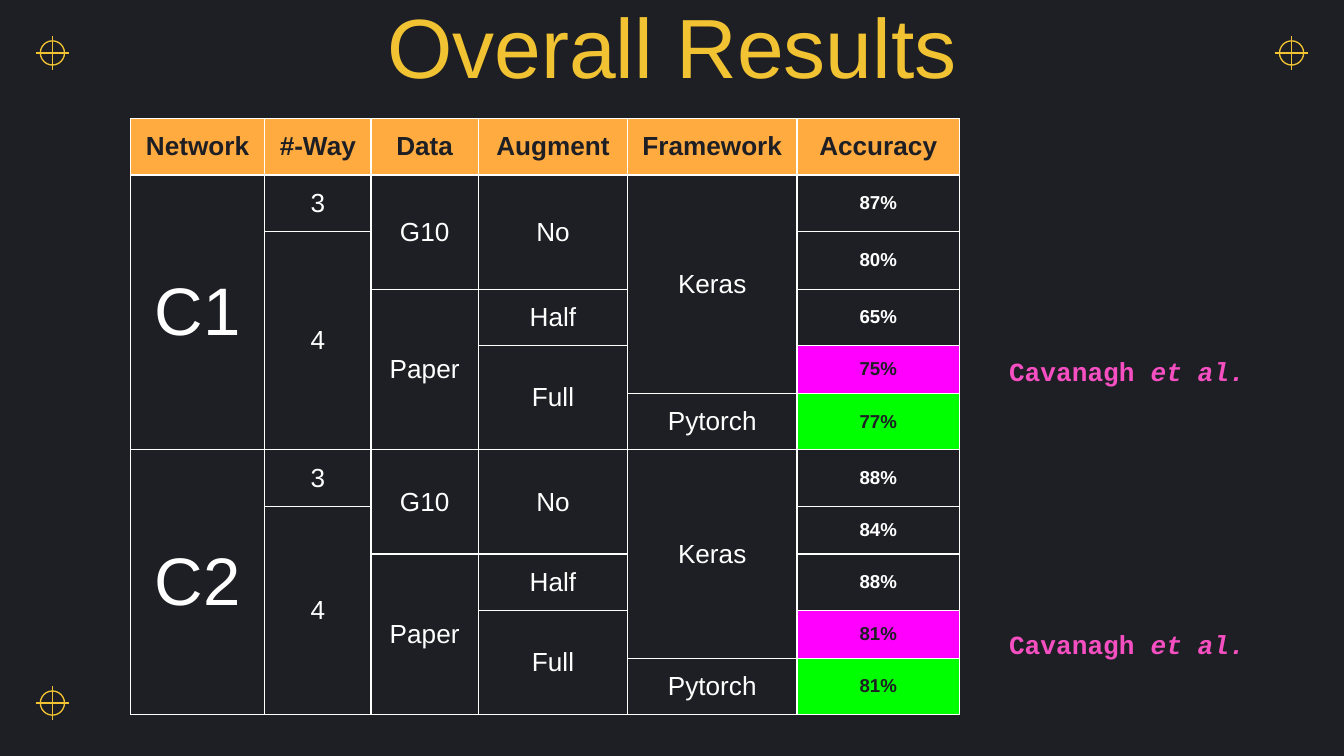
import dataclasses
import typing

import lxml.etree
import pptx
import pptx.dml.color
import pptx.enum.shapes
import pptx.enum.text
import pptx.oxml.ns
import pptx.util

WIDTH, HEIGHT = 10, 5.625
DARK, GOLD, WHITE = "1E1F24", "F1C232", "FFFFFF"
ORANGE, MAGENTA, GREEN, PINK = "FFAB40", "FF00FF", "00FF00", "F54FC1"
SANS, MONO = "Arial", "Courier New"
CENTER = pptx.enum.text.PP_ALIGN.CENTER
MIDDLE = pptx.enum.text.MSO_ANCHOR.MIDDLE
PADDING = pptx.util.Inches(0.1)
QN = pptx.oxml.ns.qn

COLUMN_WIDTHS = [1, 0.79, 0.8, 1.11, 1.26, 1.21]
ROW_HEIGHTS = [0.42, 0.42, 0.43, 0.42, 0.35, 0.42, 0.42, 0.35, 0.42, 0.35, 0.42]
HEADINGS = ["Network", "#-Way", "Data", "Augment", "Framework", "Accuracy"]
BLOCK_ROWS = 5


@dataclasses.dataclass
class Entry:
    text: str
    column: int
    row: int
    rows: int = 1
    size: float = 14
    bold: bool = False
    color: str = WHITE
    fill: typing.Optional[str] = None


@dataclasses.dataclass
class Network:
    name: str
    accuracies: list[str]


NETWORKS = [
    Network("C1", ["87%", "80%", "65%", "75%", "77%"]),
    Network("C2", ["88%", "84%", "88%", "81%", "81%"]),
]
# Rows are counted from the top of each network's block.
SETTINGS = [
    Entry("3", 1, 0), Entry("4", 1, 1, 4),
    Entry("G10", 2, 0, 2), Entry("Paper", 2, 2, 3),
    Entry("No", 3, 0, 2), Entry("Half", 3, 2), Entry("Full", 3, 3, 2),
    Entry("Keras", 4, 0, 4), Entry("Pytorch", 4, 4),
]
ACCURACY_FILLS = [None, None, None, MAGENTA, GREEN]


def rgb(value: str) -> pptx.dml.color.RGBColor:
    return pptx.dml.color.RGBColor.from_string(value)


def across(share: float) -> int:
    return pptx.util.Inches(WIDTH * share)


def down(share: float) -> int:
    return pptx.util.Inches(HEIGHT * share)


def add_text(para, text: str, size: float, color: str, font: str = SANS,
             bold: bool = False, italic: bool = False) -> None:
    span = para.add_run()
    span.text = text
    span.font.name = font
    span.font.size = pptx.util.Pt(size)
    span.font.bold, span.font.italic = bold, italic
    span.font.color.rgb = rgb(color)


def set_padding(target) -> None:
    target.margin_left = target.margin_right = PADDING
    target.margin_top = target.margin_bottom = PADDING


def add_title(page, text: str) -> None:
    title = page.shapes.title
    title.left, title.top = across(0.02), down(-0.025)
    title.width, title.height = across(0.96), down(0.228)
    frame = title.text_frame
    set_padding(frame)
    frame.word_wrap = True
    frame.auto_size = pptx.enum.text.MSO_AUTO_SIZE.NONE
    frame.vertical_anchor = pptx.enum.text.MSO_ANCHOR.TOP
    frame.paragraphs[0].alignment = CENTER
    add_text(frame.paragraphs[0], text, 45, GOLD)


def add_crosshair(page, x: int, y: int) -> None:
    """Draw a ringed cross centred on x, y."""
    group = page.shapes.add_group_shape()
    radius, arm = pptx.util.Inches(0.09), pptx.util.Inches(0.125)
    ring = group.shapes.add_shape(
        pptx.enum.shapes.MSO_SHAPE.OVAL, x - radius, y - radius, 2 * radius, 2 * radius)
    ring.shadow.inherit = False
    ring.fill.background()
    strokes = [ring]
    for dx, dy in [(0, arm), (arm, 0)]:
        stroke = group.shapes.add_connector(
            pptx.enum.shapes.MSO_CONNECTOR.STRAIGHT, x - dx, y - dy, x + dx, y + dy)
        lxml.etree.SubElement(stroke.element.spPr, QN("a:effectLst"))
        strokes.append(stroke)
    for stroke in strokes:
        stroke.line.color.rgb = rgb(GOLD)
        stroke.line.width = pptx.util.Pt(0.71)


def set_borders(cell, color: str, width: float) -> None:
    properties = cell._tc.get_or_add_tcPr()
    for position, side in enumerate(["lnL", "lnR", "lnT", "lnB"]):
        line = lxml.etree.Element(QN("a:" + side), w=str(pptx.util.Pt(width)))
        fill = lxml.etree.SubElement(line, QN("a:solidFill"))
        lxml.etree.SubElement(fill, QN("a:srgbClr"), val=color)
        properties.insert(position, line)


def table_entries() -> list[Entry]:
    entries = [Entry(text, column, 0, bold=True, color=DARK, fill=ORANGE)
               for column, text in enumerate(HEADINGS)]
    for index, network in enumerate(NETWORKS):
        top = 1 + index * BLOCK_ROWS
        entries.append(Entry(network.name, 0, top, BLOCK_ROWS, size=36))
        entries += [dataclasses.replace(entry, row=top + entry.row) for entry in SETTINGS]
        for row, (text, fill) in enumerate(zip(network.accuracies, ACCURACY_FILLS)):
            entries.append(Entry(text, 5, top + row, size=10, bold=True,
                                 color=DARK if fill else WHITE, fill=fill))
    return entries


def add_results(page) -> None:
    table = page.shapes.add_table(
        len(ROW_HEIGHTS), len(COLUMN_WIDTHS), across(0.097), down(0.157),
        pptx.util.Inches(sum(COLUMN_WIDTHS)), pptx.util.Inches(sum(ROW_HEIGHTS))).table
    table.first_row = table.horz_banding = False
    for column, width in zip(table.columns, COLUMN_WIDTHS):
        column.width = pptx.util.Inches(width)
    for row, height in zip(table.rows, ROW_HEIGHTS):
        row.height = pptx.util.Inches(height)
    for cell in table.iter_cells():
        cell.fill.background()
        set_borders(cell, WHITE, 0.75)
    for entry in table_entries():
        cell = table.cell(entry.row, entry.column)
        if entry.rows > 1:
            cell.merge(table.cell(entry.row + entry.rows - 1, entry.column))
        if entry.fill:
            cell.fill.solid()
            cell.fill.fore_color.rgb = rgb(entry.fill)
        set_padding(cell)
        cell.vertical_anchor = MIDDLE
        para = cell.text_frame.paragraphs[0]
        para.alignment = CENTER
        add_text(para, entry.text, entry.size, entry.color, bold=entry.bold)


def add_credit(page, top: int) -> None:
    box = page.shapes.add_textbox(across(0.741), top, across(0.217), down(0.078))
    frame = box.text_frame
    frame.word_wrap = True
    set_padding(frame)
    for text, italic in [("Cavanagh ", False), ("et al.", True)]:
        add_text(frame.paragraphs[0], text, 14, PINK, font=MONO, bold=True, italic=italic)


def main() -> None:
    deck = pptx.Presentation()
    deck.slide_width, deck.slide_height = across(1), down(1)
    page = deck.slides.add_slide(deck.slide_layouts.get_by_name("Title Only"))
    page.background.fill.solid()
    page.background.fill.fore_color.rgb = rgb(DARK)
    for x, y in [(0.961, 0.07), (0.039, 0.07), (0.039, 0.93)]:
        add_crosshair(page, across(x), down(y))
    add_title(page, "Overall Results")
    add_results(page)
    for share in [0.453, 0.814]:
        add_credit(page, down(share))
    deck.save("out.pptx")


if __name__ == "__main__":
    main()
